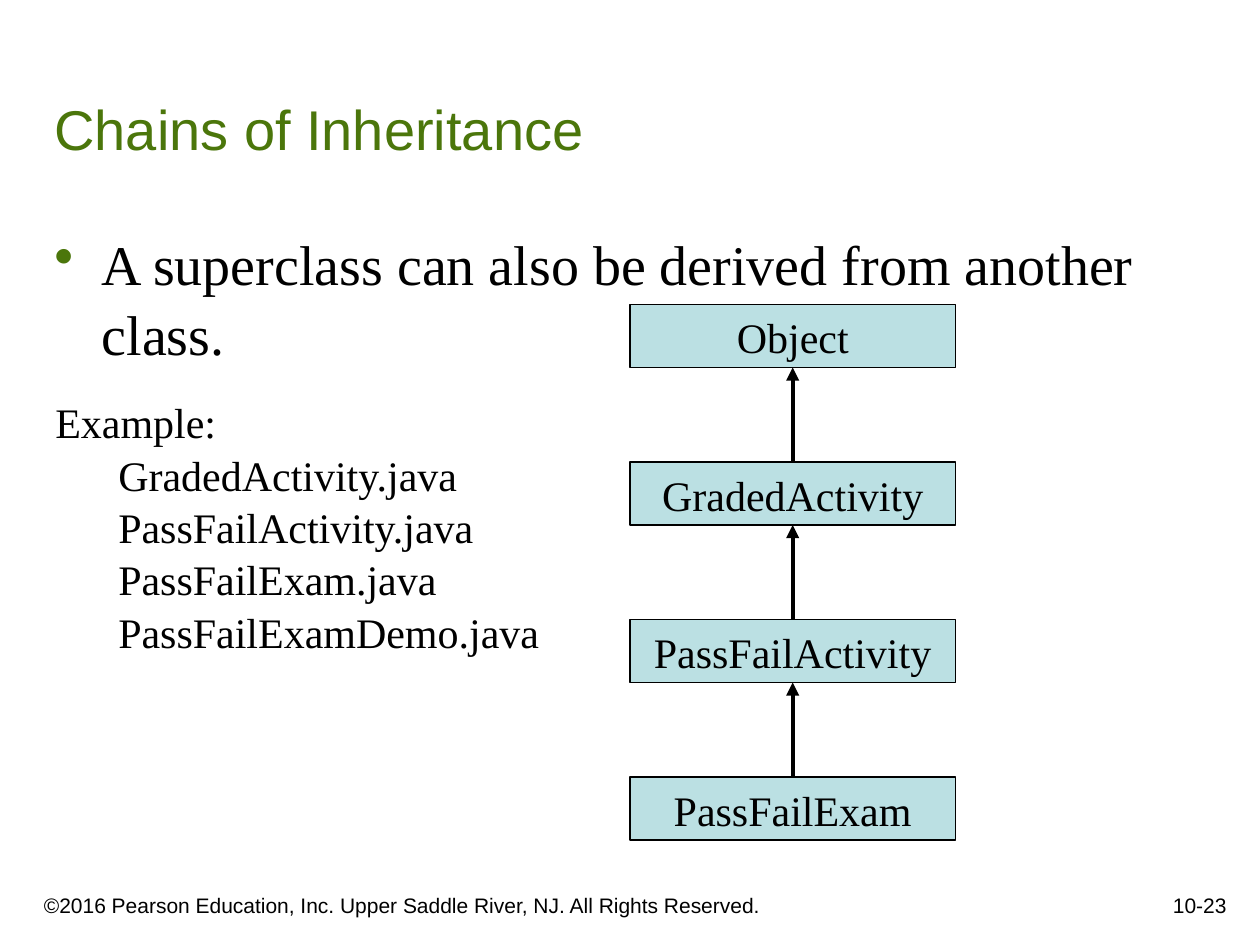
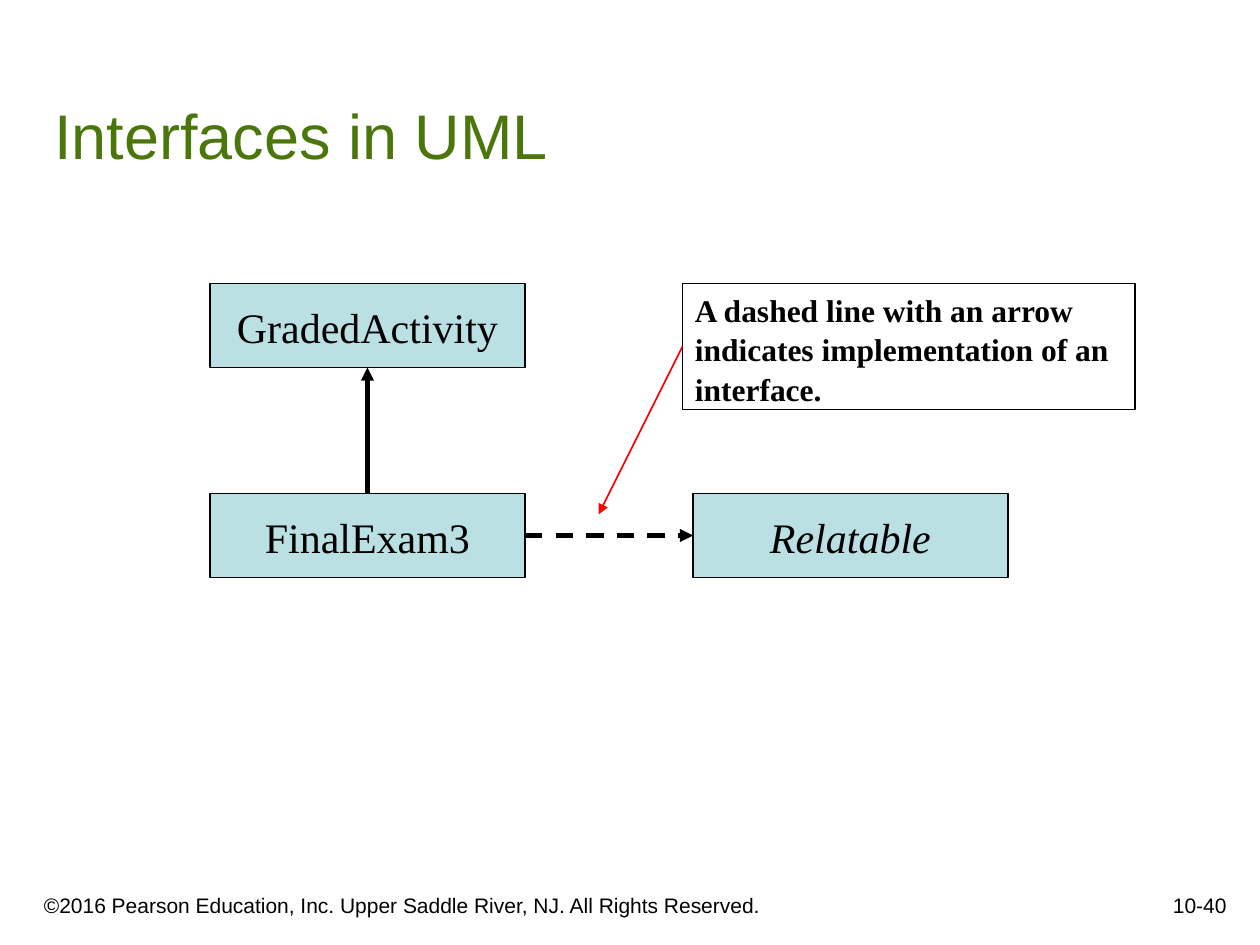
from lxml import etree
from pptx import Presentation
from pptx.dml.color import RGBColor
from pptx.enum import dml, shapes, text
from pptx.oxml import ns
from pptx.util import Pt

GREEN = RGBColor(0x4B, 0x76, 0x0B)
AQUA = RGBColor(0xBB, 0xE0, 0xE3)
BLACK = RGBColor(0, 0, 0)
RED = RGBColor(0xFF, 0, 0)
SANS, SERIF = "Arial", "Times New Roman"
LEFT, MID, RIGHT = text.PP_ALIGN.LEFT, text.PP_ALIGN.CENTER, text.PP_ALIGN.RIGHT
TOP, CORE, LOW = text.MSO_ANCHOR.TOP, text.MSO_ANCHOR.MIDDLE, text.MSO_ANCHOR.BOTTOM

# Content
FOOT = "©2016 Pearson Education, Inc. Upper Saddle River, NJ. All Rights Reserved."
POINT = "A superclass can also be derived from another class."
FILES = ["Example:", "GradedActivity.java", "PassFailActivity.java",
         "PassFailExam.java", "PassFailExamDemo.java"]
CHAIN = ["Object", "GradedActivity", "PassFailActivity", "PassFailExam"]
NOTE = "A dashed line with an arrow indicates implementation of an interface."


def write(shape, words, size, font=SERIF, color=BLACK, align=LEFT, anchor=TOP,
          wrap=True, bold=False, italic=False):
    frame = shape.text_frame
    frame.word_wrap = wrap
    frame.vertical_anchor = anchor
    par = frame.paragraphs[0]
    par.text = words
    par.alignment = align
    if font == SERIF:
        par.line_spacing = 1.04
    face = par.font
    face.name, face.size, face.color.rgb = font, Pt(size), color
    face.bold, face.italic = bold, italic
    return par


def label(slide, area, words, size, **style):
    return write(slide.shapes.add_textbox(*map(Pt, area)), words, size, **style)


def hang(par, gap, bullet=None):
    props = par._p.get_or_add_pPr()
    props.set("marL", str(Pt(gap)))
    props.set("indent", str(-Pt(gap)))
    if bullet:
        color = etree.Element(ns.qn("a:buClr"))
        etree.SubElement(color, ns.qn("a:srgbClr"), val=str(GREEN))
        mark = etree.Element(ns.qn("a:buChar"), char=bullet)
        spot = 1 if par.line_spacing else 0
        props.insert(spot, color)
        props.insert(spot + 1, mark)


def box(slide, area, words, size=24, fill=AQUA, line=0.75, **style):
    rect = slide.shapes.add_shape(shapes.MSO_SHAPE.RECTANGLE, *map(Pt, area))
    rect.shadow.inherit = False
    if fill:
        rect.fill.solid()
        rect.fill.fore_color.rgb = fill
    else:
        rect.fill.background()
    rect.line.color.rgb, rect.line.width = BLACK, Pt(line)
    look = dict(align=MID, anchor=CORE, wrap=False)
    write(rect, words, size, **{**look, **style})


def arrow(slide, start, end, color=BLACK, width=2.5, dash=False):
    link = slide.shapes.add_connector(
        shapes.MSO_CONNECTOR.STRAIGHT, *map(Pt, start + end))
    link.line.color.rgb, link.line.width = color, Pt(width)
    if dash:
        link.line.dash_style = dml.MSO_LINE.DASH
    props = link._element.spPr
    etree.SubElement(props.find(ns.qn("a:ln")), ns.qn("a:tailEnd"), type="triangle")
    etree.SubElement(props, ns.qn("a:effectLst"))


def page(deck, title, area, size, number):
    slide = deck.slides.add_slide(deck.slide_layouts[6])
    label(slide, (18, 498, 438, 30), FOOT, 12, font=SANS, anchor=LOW)
    label(slide, (558, 492, 150, 36), number, 12, font=SANS, align=RIGHT, anchor=LOW)
    label(slide, area, title, size, font=SANS, color=GREEN, anchor=LOW)
    return slide


def chains(deck):
    slide = page(deck, "Chains of Inheritance", (24, 6, 648, 90), 32, "10-23")
    hang(label(slide, (24, 126, 660, 93), POINT, 32), 27, "•")

    # Class chain, each class pointing up at its parent
    left, top, wide, high, step = 360, 174, 186, 36, 90
    for i, name in enumerate(CHAIN):
        y = top + i * step
        box(slide, (left, y, wide, high), name)
        if i:
            x = left + wide / 2
            arrow(slide, (x, y), (x, y - step + high))

    # Example files
    hang(label(slide, (24.5, 222, 295, 151), "\v".join(FILES), 24), 36)


def uml(deck):
    slide = page(deck, "Interfaces in UML", (24, 24, 678, 78), 36, "10-40")

    # Classes and the interface
    left, right, top, low, wide, high = 120, 396, 162, 282, 180, 48
    box(slide, (left, top, wide, high), "GradedActivity")
    box(slide, (left, low, wide, high), "FinalExam3")
    box(slide, (right, low, wide, high), "Relatable", italic=True)
    x, y = left + wide / 2, low + high / 2
    arrow(slide, (x, low), (x, top + high))
    arrow(slide, (left + wide, y), (right, y), dash=True)

    # Note on the dashed line
    box(slide, (390, top, 258.5, 72), NOTE, 18, fill=None, line=1,
        align=LEFT, anchor=TOP, wrap=True, bold=True)
    arrow(slide, (390, 198), (342, 294), color=RED, width=1)


def main():
    deck = Presentation()
    deck.slide_width, deck.slide_height = Pt(720), Pt(540)
    chains(deck)
    uml(deck)
    deck.save("out.pptx")


if __name__ == "__main__":
    main()
